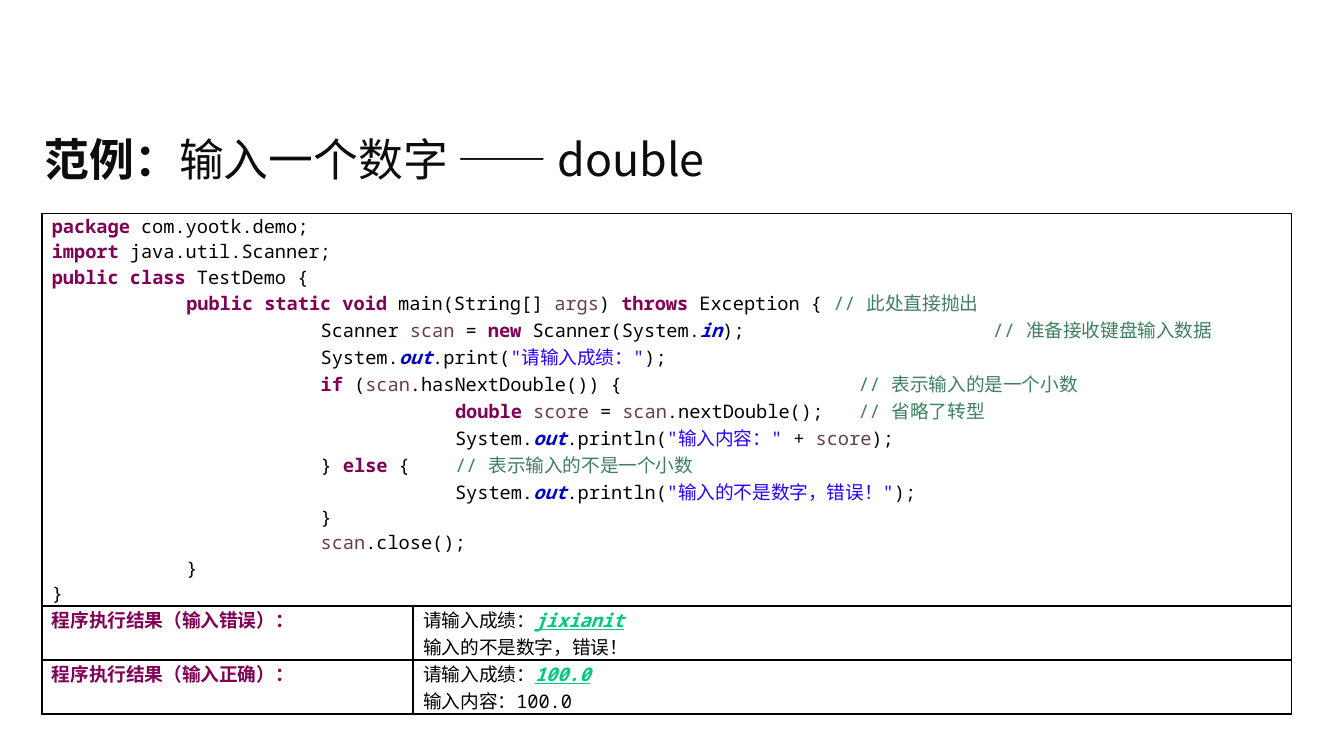
from lxml.etree import SubElement
from pptx import Presentation
from pptx.dml.color import RGBColor
from pptx.enum.text import MSO_ANCHOR as Anchor, MSO_AUTO_SIZE as AutoSize, PP_ALIGN as Align
from pptx.oxml.ns import qn
from pptx.util import Cm, Pt

CJK = "Noto Sans CJK SC"
MONO = "Noto Sans Mono"
BLACK = "000000"
TITLE_COLOR = "0D0D0D"
TAB_STEP = Cm(2.54)
TAB_COUNT = 8
STYLES = {
    "plain": (BLACK, ""),
    "keyword": ("7F0055", "b"),
    "variable": ("6A3E3E", ""),
    "field": ("0000C0", "bi"),
    "string": ("2A00FF", ""),
    "comment": ("3F7F5F", ""),
    "input": ("00C87D", "biu"),
    "label": (TITLE_COLOR, "b"),
    "heading": (TITLE_COLOR, ""),
}


def keyword(text):
    return "keyword", text


def variable(text):
    return "variable", text


def string(text):
    return "string", text


def comment(text):
    return "comment", text


OUT = ("field", "out")
SCAN = variable("scan")
SCORE = variable("score")

CODE = [
    [keyword("package"), " com.yootk.demo;"],
    [keyword("import"), " java.util.Scanner;"],
    [keyword("public class"), " TestDemo {"],
    ["\t", keyword("public static void"), " main(String[] ", variable("args"), ") ",
     keyword("throws"), " Exception { ", comment("// 此处直接抛出")],
    ["\t\tScanner ", SCAN, " = ", keyword("new"), " Scanner(System.", ("field", "in"),
     "); \t\t", comment("// 准备接收键盘输入数据")],
    ["\t\tSystem.", OUT, ".print(", string('"请输入成绩："'), ");"],
    ["\t\t", keyword("if"), " (", SCAN, ".hasNextDouble()) { \t\t",
     comment("// 表示输入的是一个小数")],
    ["\t\t\t", keyword("double "), SCORE, " = ", SCAN, ".nextDouble(); \t",
     comment("// 省略了转型")],
    ["\t\t\tSystem.", OUT, ".println(", string('"输入内容："'), " + ", SCORE, ");"],
    ["\t\t} ", keyword("else"), " { \t", comment("// 表示输入的不是一个小数")],
    ["\t\t\tSystem.", OUT, ".println(", string('"输入的不是数字，错误！"'), ");"],
    ["\t\t}"],
    ["\t\t", SCAN, ".close();"],
    ["\t}"],
    ["}"],
]
RESULTS = [
    ("程序执行结果（输入错误）：", "jixianit", "输入的不是数字，错误！"),
    ("程序执行结果（输入正确）：", "100.0", "输入内容：100.0"),
]


def color(hex_value):
    return RGBColor.from_string(hex_value)


def add_tab_stops(paragraph):
    stops = SubElement(paragraph._p.get_or_add_pPr(), qn("a:tabLst"))
    for number in range(1, TAB_COUNT + 1):
        SubElement(stops, qn("a:tab"), pos=str(TAB_STEP * number), algn="l")


def write_lines(frame, lines, size, latin):
    for index, line in enumerate(lines):
        paragraph = frame.paragraphs[0] if index == 0 else frame.add_paragraph()
        paragraph.alignment = Align.LEFT
        if any("\t" in token for token in line):
            add_tab_stops(paragraph)
        paragraph.font.size = Pt(size)
        paragraph.font.name = latin
        defaults = paragraph._p.pPr.find(qn("a:defRPr"))
        SubElement(defaults, qn("a:ea"), typeface=CJK)
        for token in line:
            style, text = ("plain", token) if isinstance(token, str) else token
            hex_value, marks = STYLES[style]
            run = paragraph.add_run()
            run.text = text
            run.font.color.rgb = color(hex_value)
            run.font.bold = "b" in marks
            run.font.italic = "i" in marks
            run.font.underline = "u" in marks


def add_title(slide):
    title = slide.shapes.title
    title.left, title.top = Cm(0.59), Cm(2.18)
    title.width, title.height = Cm(24.2), Cm(1.63)
    frame = title.text_frame
    frame.vertical_anchor = Anchor.MIDDLE
    frame.auto_size = AutoSize.NONE
    write_lines(frame, [[("label", "范例："), ("heading", "输入一个数字 —— double")]], 24, CJK)


def format_cell(cell):
    cell.margin_left = cell.margin_right = Cm(0.19)
    cell.margin_top = cell.margin_bottom = 0
    properties = cell._tc.get_or_add_tcPr()
    for side in ("lnL", "lnR", "lnT", "lnB"):
        border = SubElement(properties, qn(f"a:{side}"), w=str(Pt(1)))
        SubElement(SubElement(border, qn("a:solidFill")), qn("a:srgbClr"), val=BLACK)
    cell.fill.background()


def add_listing(slide):
    widths, heights = [Cm(7.02), Cm(16.6)], [Cm(6.38), Cm(0.84), Cm(0.84)]
    table = slide.shapes.add_table(
        len(heights), len(widths), Cm(0.79), Cm(4.03), sum(widths), sum(heights)).table
    table.first_row = table.horz_banding = False
    for column, width in zip(table.columns, widths):
        column.width = width
    for row, height in zip(table.rows, heights):
        row.height = height
    for cell in table.iter_cells():
        format_cell(cell)
    table.cell(0, 0).merge(table.cell(0, 1))
    write_lines(table.cell(0, 0).text_frame, CODE, 10, MONO)
    for row, (label, typed, reply) in enumerate(RESULTS, 1):
        write_lines(table.cell(row, 0).text_frame, [[keyword(label)]], 10, MONO)
        output = [["请输入成绩：", ("input", typed)], [reply]]
        write_lines(table.cell(row, 1).text_frame, output, 10, MONO)


def main():
    deck = Presentation()
    deck.slide_width, deck.slide_height = Cm(25.4), Cm(14.28)
    slide = deck.slides.add_slide(deck.slide_layouts[5])
    add_title(slide)
    add_listing(slide)
    deck.save("out.pptx")


if __name__ == "__main__":
    main()
